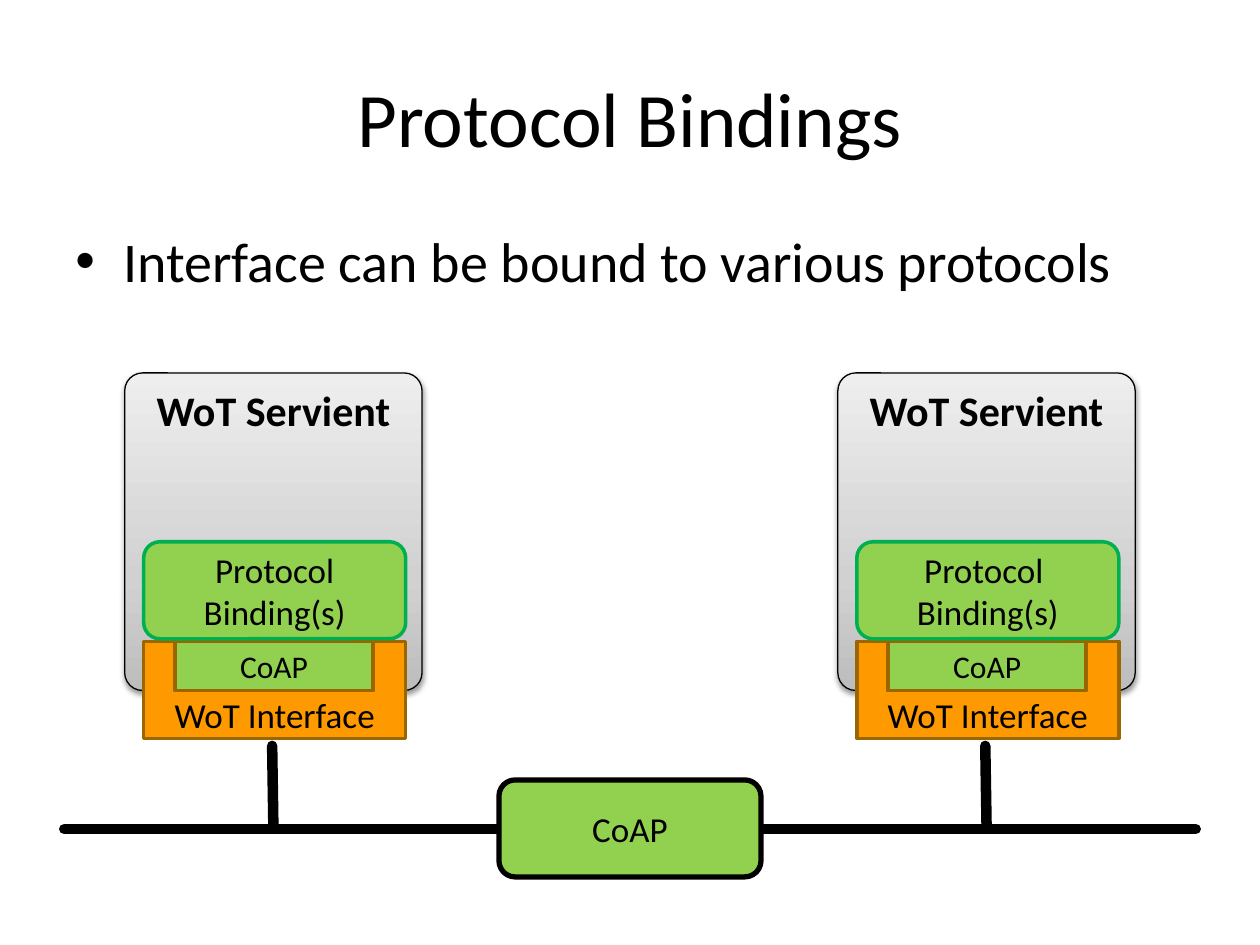
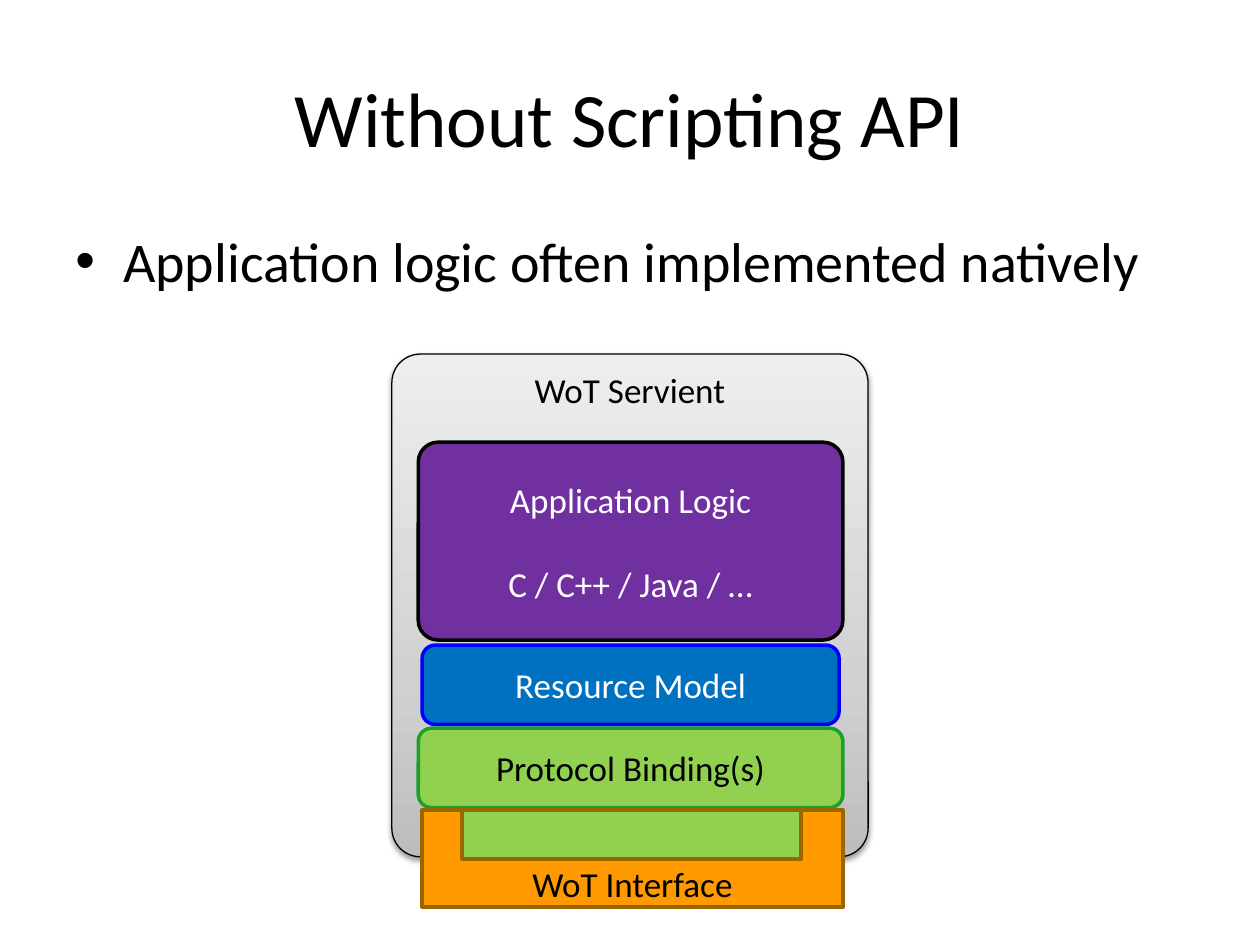
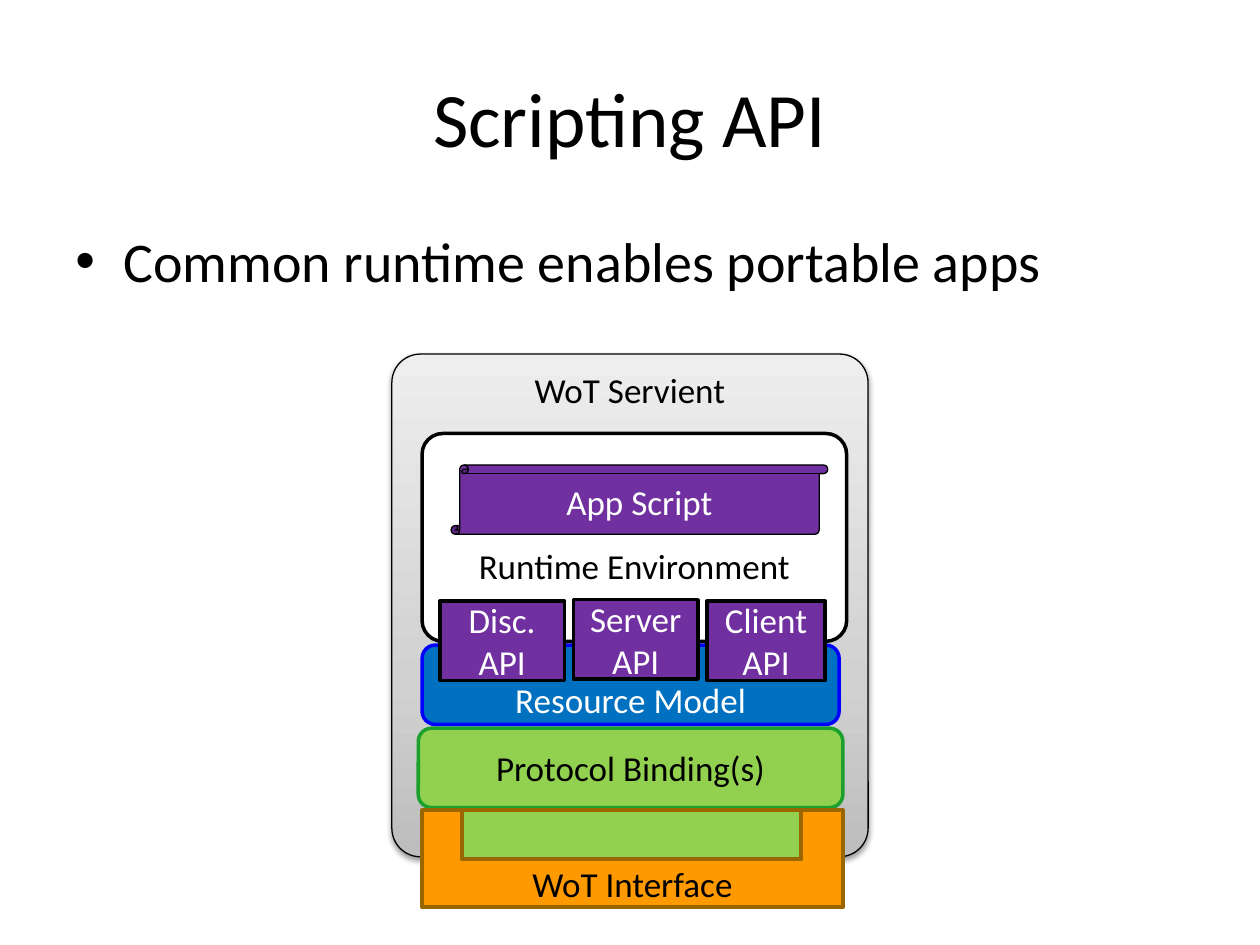
from copy import deepcopy

from lxml import etree
from pptx import Presentation
from pptx import util as u
from pptx.dml.color import RGBColor
from pptx.enum import shapes, text
from pptx.oxml import ns

FONT = "Calibri"
BLACK, WHITE = "000000", "FFFFFF"
GREEN, LEAF, FOREST = "92D050", "00B050", "1BA12B"
PURPLE, BLUE, BRIGHT_BLUE = "7030A0", "0070C0", "0000FF"
ORANGE, BROWN = "FF9900", "996600"
SERVIENT_STOPS = [(0, "BDBDBD"), (0.35, "D1D1D1"), (1, "EEEEEE")]

KIND = shapes.MSO_SHAPE
TOP, MIDDLE, BOTTOM = (text.MSO_ANCHOR.TOP, text.MSO_ANCHOR.MIDDLE,
                       text.MSO_ANCHOR.BOTTOM)
CENTER, LEFT = text.PP_ALIGN.CENTER, text.PP_ALIGN.LEFT


def rgb(value):
    return RGBColor.from_string(value)


def inches(*values):
    return [u.Inches(value) for value in values]


def add_element(parent, tag, **attributes):
    child = etree.SubElement(parent, ns.qn(tag))
    for name, value in attributes.items():
        child.set(name, str(value))
    return child


def write(shape, paragraphs, size=20, color=BLACK, bold=False, anchor=MIDDLE,
          align=CENTER, wrap=True, insets=(0.1, 0.05, 0.1, 0.05), gap=0):
    """Fill a shape with paragraphs; a newline inside one is a line break."""
    frame = shape.text_frame
    frame.word_wrap = wrap
    frame.vertical_anchor = anchor
    (frame.margin_left, frame.margin_top,
     frame.margin_right, frame.margin_bottom) = inches(*insets)
    for index, words in enumerate(paragraphs):
        para = frame.add_paragraph() if index else frame.paragraphs[0]
        para.alignment = align
        if index:
            para.space_before = u.Pt(gap)
        for number, line in enumerate(words.split("\n")):
            if number:
                para.add_line_break()
            span = para.add_run()
            span.text = line
            span.font.name = FONT
            span.font.size = u.Pt(size)
            span.font.bold = bold
            span.font.color.rgb = rgb(color)


def paint(shape, fill, line, weight):
    shape.shadow.inherit = False
    shape.fill.solid()
    shape.fill.fore_color.rgb = rgb(fill)
    shape.line.color.rgb = rgb(line)
    shape.line.width = u.Pt(weight)


def block(page, box, fill, line, weight=2, label=(), kind=KIND.ROUNDED_RECTANGLE,
          corner=None, **style):
    shape = page.shapes.add_shape(kind, *inches(*box))
    if corner is not None:
        shape.adjustments[0] = corner
    paint(shape, fill, line, weight)
    write(shape, label, **style)
    return shape


def wire(page, start, end):
    """Draw a thick black line with round ends."""
    line = page.shapes.add_connector(shapes.MSO_CONNECTOR.STRAIGHT,
                                     *inches(*start, *end))
    line.line.color.rgb = rgb(BLACK)
    line.line.width = u.Pt(6)
    line.line._get_or_add_ln().set("cap", "rnd")
    add_element(line._element.spPr, "a:effectLst")


def servient(page, box, **style):
    """Draw the grey shaded container with its soft shadow."""
    shape = block(page, box, WHITE, BLACK, 0.75, ["WoT Servient"], corner=0.06,
                  anchor=TOP, wrap=False, **style)
    shape.fill.gradient()
    shape.fill.gradient_angle = 90
    properties = shape._element.spPr
    stop_list = properties.find(".//" + ns.qn("a:gsLst"))
    stop_list.append(deepcopy(stop_list[-1]))
    for stop, (position, color) in zip(shape.fill.gradient_stops, SERVIENT_STOPS):
        stop.position = position
        stop.color.rgb = rgb(color)
    shadow = add_element(properties.find(ns.qn("a:effectLst")), "a:outerShdw",
                         blurRad=u.Pt(3.1), dist=u.Pt(1.6), dir=90 * 60000,
                         rotWithShape=0)
    add_element(add_element(shadow, "a:srgbClr", val=BLACK), "a:alpha", val=38000)


def interface(page, left, top, width, notch, plug, label=()):
    """Draw the notched orange interface; notch and plug are (start, end) offsets."""
    height, depth = 0.77, 0.39
    start, end = notch
    outline = [(0, 0), (start, 0), (start, depth), (end, depth), (end, 0),
               (width, 0), (width, height), (0, height)]
    points = [inches(left + x, top + y) for x, y in outline]
    builder = page.shapes.build_freeform(*points[0])
    builder.add_line_segments(points[1:], close=True)
    shape = builder.convert_to_shape()
    paint(shape, ORANGE, BROWN, 2)
    write(shape, ["WoT Interface"], anchor=BOTTOM, insets=(0.1, 0, 0.1, 0.02))
    block(page, (left + plug[0], top, plug[1] - plug[0], depth), GREEN, BROWN,
          2.25, label, kind=KIND.RECTANGLE, size=18)


def add_page(deck, title, point):
    page = deck.slides.add_slide(deck.slide_layouts[6])
    heading = page.shapes.add_textbox(*inches(0.5, 0.3, 9, 1.25))
    write(heading, [title], size=44)
    body = page.shapes.add_textbox(*inches(0.5, 1.75, 9, 0.8))
    properties = body.text_frame.paragraphs[0]._p.get_or_add_pPr()
    properties.set("marL", str(u.Inches(0.38)))
    properties.set("indent", str(u.Inches(-0.38)))
    add_element(properties, "a:buFont", typeface="Arial")
    add_element(properties, "a:buChar", char="•")
    write(body, [point], size=32, anchor=TOP, align=LEFT)
    return page


def network_node(page, left, top, binding_label):
    wire(page, (left + 1.18, top + 3.6), (left + 1.17, top + 2.96))
    servient(page, (left, top, 2.36, 2.52), size=24, bold=True)
    interface(page, left + 0.15, top + 2.13, 2.08, (0.25, 1.82), (0.25, 1.82),
              ["CoAP"])
    block(page, (left + 0.15, top + 1.34, 2.08, 0.77), GREEN, LEAF,
          label=[binding_label])


def network(page, left, top):
    wire(page, (left, top + 3.62), (left + 8.98, top + 3.62))
    network_node(page, left + 0.48, top, "Protocol\nBinding(s)")
    network_node(page, left + 6.14, top, "Protocol \nBinding(s)")
    block(page, (left + 3.45, top + 3.23, 2.08, 0.77), GREEN, BLACK, 3, ["CoAP"])


def servient_stack(page, left, top, **model_style):
    """Draw the servient and the three lower layers that both stacks share."""
    servient(page, (left, top, 3.78, 3.99))
    block(page, (left + 0.21, top + 2.97, 3.37, 0.63), GREEN, FOREST,
          label=["Protocol Binding(s)"])
    block(page, (left + 0.24, top + 2.31, 3.31, 0.63), BLUE, BRIGHT_BLUE,
          label=["Resource Model"], color=WHITE, **model_style)
    interface(page, left + 0.24, top + 3.62, 3.34, (0.39, 2.92), (0.32, 3.01))


def native_stack(page, left, top):
    servient_stack(page, left, top)
    block(page, (left + 0.21, top + 0.7, 3.37, 1.57), PURPLE, BLACK, corner=0.1,
          label=["Application Logic", "C / C++ / Java / …"], color=WHITE, gap=24)


def scripting_stack(page, left, top):
    servient_stack(page, left, top, anchor=BOTTOM, insets=(0.1, 0.05, 0.1, 0))
    block(page, (left + 0.24, top + 0.63, 3.37, 1.65), WHITE, BLACK, corner=0.1,
          label=["Runtime Environment"], anchor=BOTTOM,
          insets=(0.1, 0.05, 0.1, 0.39))
    block(page, (left + 0.47, top + 0.88, 2.99, 0.55), PURPLE, BLACK, 0.75,
          ["App Script"], kind=KIND.VERTICAL_SCROLL, color=WHITE, wrap=False)
    apis = [("Disc.", 0.38, 1.96, 0.99), ("Server", 1.44, 1.95, 0.99),
            ("Client", 2.5, 1.96, 0.94)]
    for name, across, down, width in apis:
        block(page, (left + across, top + down, width, 0.63), PURPLE, BLACK,
              label=[name + "\nAPI"], corner=0, color=WHITE)


def main():
    deck = Presentation()
    deck.slide_width, deck.slide_height = inches(10, 7.5)
    network(add_page(deck, "Protocol Bindings",
                     "Interface can be bound to various protocols"), 0.51, 2.96)
    native_stack(add_page(deck, "Without Scripting API",
                          "Application logic often implemented natively"), 3.11, 2.81)
    scripting_stack(add_page(deck, "Scripting API",
                             "Common runtime enables portable apps"), 3.11, 2.81)
    deck.save("out.pptx")


if __name__ == "__main__":
    main()
